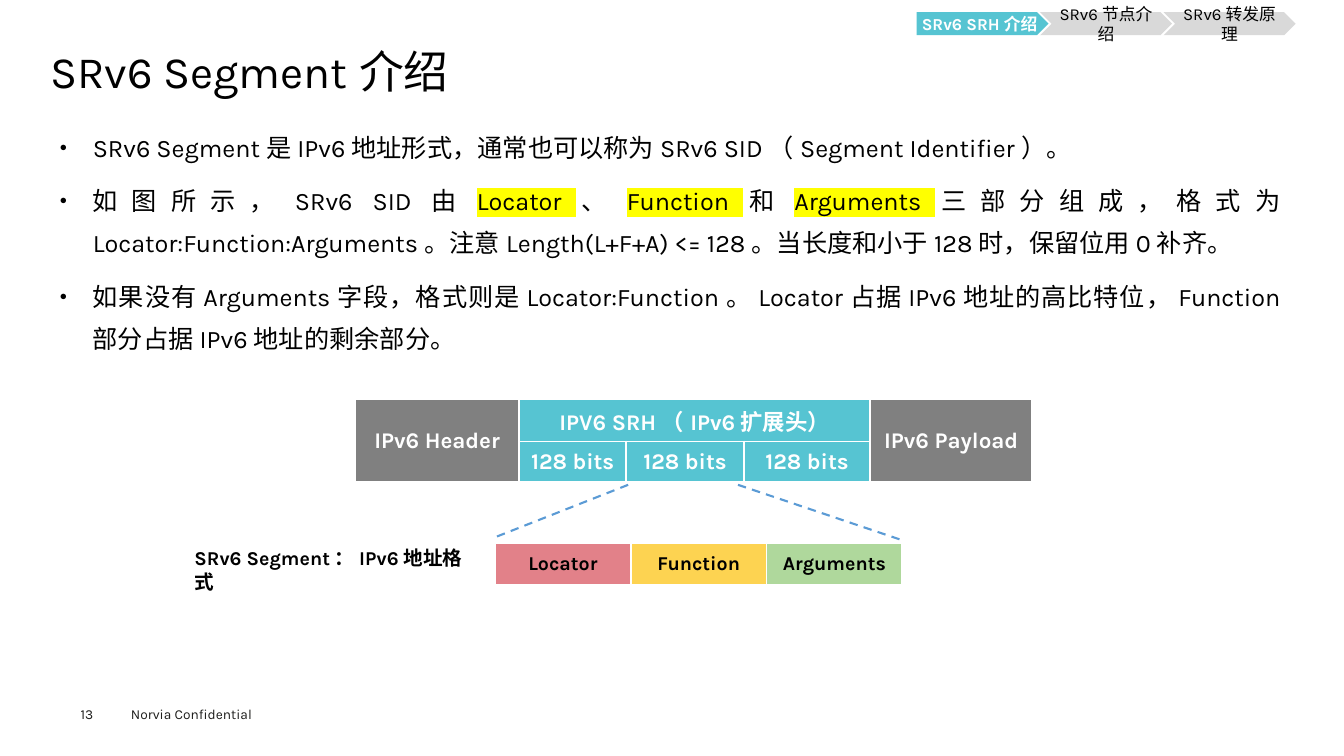
from lxml.etree import SubElement
from pptx import Presentation
from pptx.dml.color import RGBColor
from pptx.enum.dml import MSO_LINE
from pptx.enum.shapes import MSO_CONNECTOR, MSO_SHAPE
from pptx.enum.text import MSO_ANCHOR, MSO_AUTO_SIZE, PP_ALIGN
from pptx.oxml.ns import qn
from pptx.util import Emu, Pt

EMU_PER_PX = 9144  # 100 px to the inch
FONT = "Karla"
BLACK = RGBColor(0x00, 0x00, 0x00)
WHITE = RGBColor(0xFF, 0xFF, 0xFF)
INK = RGBColor(0x1D, 0x1D, 0x1B)
GREY = RGBColor(0x80, 0x80, 0x80)
LIGHT_GREY = RGBColor(0xD9, 0xD9, 0xD9)
TEAL = RGBColor(0x56, 0xC4, 0xD2)
BLUE = RGBColor(0x5B, 0x9B, 0xD5)
RED = RGBColor(0xE2, 0x81, 0x89)
YELLOW = RGBColor(0xFD, 0xD3, 0x51)
GREEN = RGBColor(0xAF, 0xD8, 0x9C)
HIGHLIGHT = RGBColor(0xFF, 0xFF, 0x00)

STEPS = ["SRv6 SRH介绍", "SRv6节点介绍", "SRv6转发原理"]
# Each point is a list of runs; every second run is highlighted.
POINTS = [
    ["SRv6 Segment是IPv6地址形式，通常也可以称为SRv6 SID（Segment Identifier）。"],
    ["如图所示，SRv6 SID由", "Locator", "、", "Function", "和", "Arguments",
     "三部分组成，格式为Locator:Function:Arguments。注意Length(L+F+A) <= 128。"
     "当长度和小于128时，保留位用0补齐。"],
    ["如果没有Arguments字段，格式则是Locator:Function。Locator占据IPv6地址的高比特位，"
     "Function部分占据IPv6地址的剩余部分。"],
]
PACKET_COLUMNS = [163, 106, 117, 125, 161]
SEGMENT_PARTS = [("Locator", RED), ("Function", YELLOW), ("Arguments", GREEN)]


def px(*lengths):
    return [Emu(round(length * EMU_PER_PX)) for length in lengths]


def style(paragraph, size, color=BLACK, bold=False, align=PP_ALIGN.LEFT):
    paragraph.alignment = align
    font = paragraph.font
    font.name, font.size, font.bold = FONT, Pt(size), bold
    font.color.rgb = color


def set_frame(frame, horizontal=0, vertical=0, anchor=MSO_ANCHOR.TOP):
    frame.margin_left = frame.margin_right = px(horizontal)[0]
    frame.margin_top = frame.margin_bottom = px(vertical)[0]
    frame.vertical_anchor = anchor
    frame.word_wrap = True
    frame.auto_size = MSO_AUTO_SIZE.NONE


def place(placeholder, box):
    (placeholder.left, placeholder.top,
     placeholder.width, placeholder.height) = px(*box)


def add_label(slide, box, text, size, color=BLACK, bold=False, insets=(10, 5)):
    frame = slide.shapes.add_textbox(*px(*box)).text_frame
    set_frame(frame, *insets)
    frame.text = text
    style(frame.paragraphs[0], size, color, bold)


def add_title(slide, box):
    title = slide.shapes.title
    place(title, box)
    set_frame(title.text_frame)
    title.text_frame.text = "SRv6 Segment介绍"
    paragraph = title.text_frame.paragraphs[0]
    paragraph.line_spacing = 0.9
    style(paragraph, 32)


def add_bullet(paragraph):
    properties = paragraph._p.get_or_add_pPr()
    indent = px(33)[0]
    properties.set("marL", str(indent))
    properties.set("indent", str(-indent))
    SubElement(properties, qn("a:buSzPct"), val="50000")
    SubElement(properties, qn("a:buChar"), char="●")


def add_points(slide, box):
    body = slide.placeholders[1]
    place(body, box)
    frame = body.text_frame
    set_frame(frame, 9, 4)
    for index, runs in enumerate(POINTS):
        paragraph = frame.add_paragraph() if index else frame.paragraphs[0]
        add_bullet(paragraph)
        paragraph.line_spacing = 1.4
        paragraph.space_before = Pt(7.9 if index else 0)
        style(paragraph, 18, align=PP_ALIGN.JUSTIFY)
        for position, text in enumerate(runs):
            run = paragraph.add_run()
            run.text = text
            if position % 2:
                mark = SubElement(run._r.get_or_add_rPr(), qn("a:highlight"))
                SubElement(mark, qn("a:srgbClr"), val=str(HIGHLIGHT))


def add_steps(slide, box):
    left, top, width, height = box
    step_width = 131
    pitch = (width - step_width) / (len(STEPS) - 1)
    for index, text in enumerate(STEPS):
        current = index == 0
        preset = MSO_SHAPE.PENTAGON if current else MSO_SHAPE.CHEVRON
        step = slide.shapes.add_shape(
            preset, *px(left + index * pitch, top, step_width, height))
        step.shadow.inherit = False
        step.fill.solid()
        step.fill.fore_color.rgb = TEAL if current else LIGHT_GREY
        step.line.fill.background()
        set_frame(step.text_frame, anchor=MSO_ANCHOR.MIDDLE)
        step.text_frame.text = text
        style(step.text_frame.paragraphs[0], 12, WHITE if current else BLACK,
              current, PP_ALIGN.CENTER)


def add_grid(slide, box, rows, columns):
    """Add a plain table whose columns have the given widths."""
    table = slide.shapes.add_table(rows, len(columns), *px(*box)).table
    table.first_row = table.horz_banding = False
    for column, width in zip(table.columns, px(*columns)):
        column.width = width
    return table


def paint_cell(cell, fill):
    """Give a cell white borders and a fill."""
    properties = cell._tc.get_or_add_tcPr()
    for side in ("lnL", "lnR", "lnT", "lnB"):
        border = SubElement(properties, qn(f"a:{side}"), w=str(Pt(1.5)))
        color = SubElement(border, qn("a:solidFill"))
        SubElement(color, qn("a:srgbClr"), val=str(WHITE))
    cell.fill.solid()
    cell.fill.fore_color.rgb = fill


def write_cell(cell, text, size, color):
    cell.vertical_anchor = MSO_ANCHOR.MIDDLE
    cell.text = text
    style(cell.text_frame.paragraphs[0], size, color, True, PP_ALIGN.CENTER)


def add_packet(slide, box):
    table = add_grid(slide, box, 2, PACKET_COLUMNS)
    last = len(PACKET_COLUMNS) - 1
    for row in range(2):
        for column in range(last + 1):
            paint_cell(table.cell(row, column),
                       GREY if column in (0, last) else TEAL)
    for column in (0, last):
        table.cell(0, column).merge(table.cell(1, column))
    table.cell(0, 1).merge(table.cell(0, last - 1))
    write_cell(table.cell(0, 0), "IPv6 Header", 16, WHITE)
    write_cell(table.cell(0, 1), "IPV6 SRH（IPv6扩展头）", 16, WHITE)
    write_cell(table.cell(0, last), "IPv6 Payload", 16, WHITE)
    for column in range(1, last):
        write_cell(table.cell(1, column), "128 bits", 16, WHITE)


def add_segment(slide, box):
    """Add the three-part address format with its caption and zoom lines."""
    left, top, width, height = box
    for start, end in [((132, -58), (0, -6)), ((241, -58), (width, -3))]:
        zoom = slide.shapes.add_connector(
            MSO_CONNECTOR.STRAIGHT,
            *px(left + start[0], top + start[1], left + end[0], top + end[1]))
        zoom.line.color.rgb = BLUE
        zoom.line.width = Pt(1.5)
        zoom.line.dash_style = MSO_LINE.DASH
        SubElement(zoom._element.spPr, qn("a:effectLst"))
    add_label(slide, (left - 308, top - 2, 293, 34),
              "SRv6 Segment：IPv6地址格式", 14, bold=True)
    count = len(SEGMENT_PARTS)
    table = add_grid(slide, box, 1, [width / count] * count)
    for cell, (text, fill) in zip(table.iter_cells(), SEGMENT_PARTS):
        paint_cell(cell, fill)
        write_cell(cell, text, 14, BLACK)


def add_footer(slide, box):
    left, top, width, height = box
    add_label(slide, (left, top + 5, 55, 16), "13", 9.8, INK, insets=(0, 0))
    add_label(slide, (left + 40, top, width - 40, height),
              "Norvia Confidential", 9.8, INK)


def main():
    deck = Presentation()
    deck.slide_width, deck.slide_height = px(1333, 750)
    slide = deck.slides.add_slide(deck.slide_layouts[1])
    add_title(slide, (50, 49, 1235, 53))
    add_points(slide, (50, 115, 1235, 534))
    add_steps(slide, (909, 12, 376, 23))
    add_packet(slide, (352, 396, sum(PACKET_COLUMNS), 81))
    add_segment(slide, (491, 539, 404, 41))
    add_footer(slide, (80, 695, 200, 27))
    deck.save("out.pptx")


if __name__ == "__main__":
    main()
